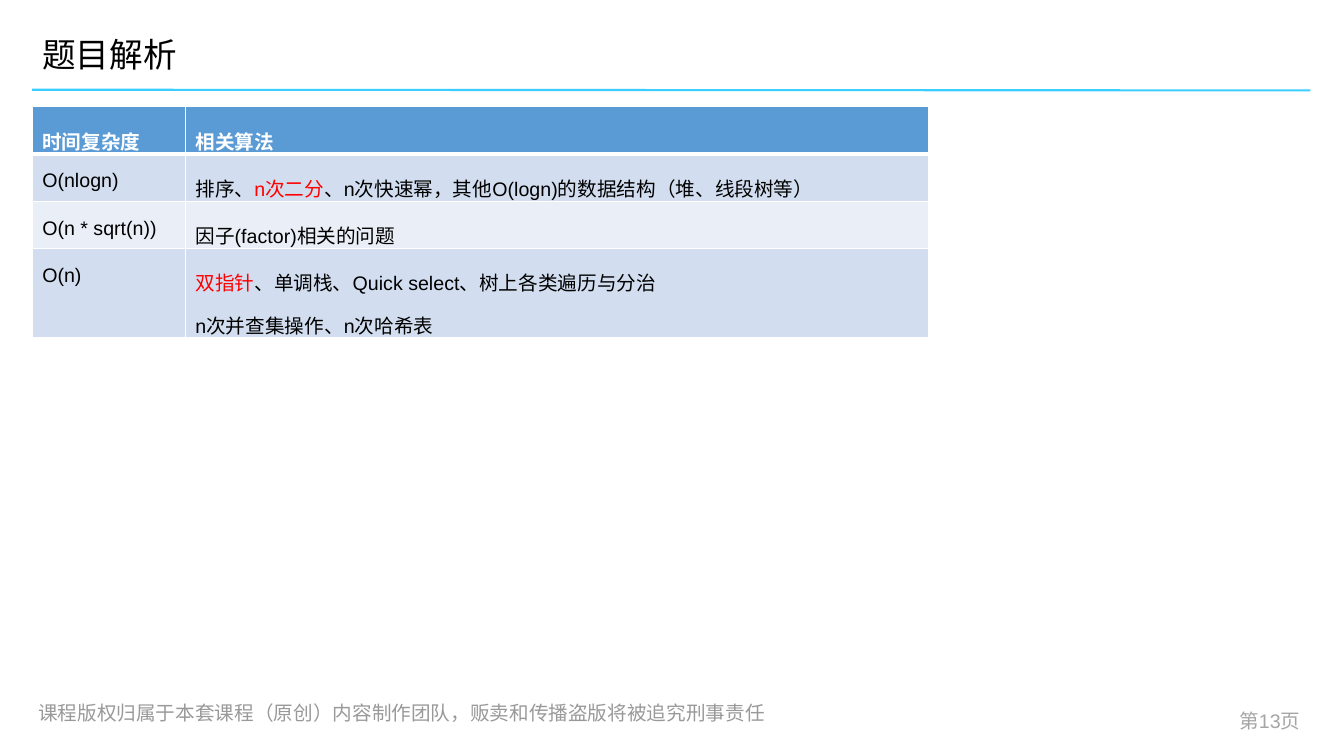
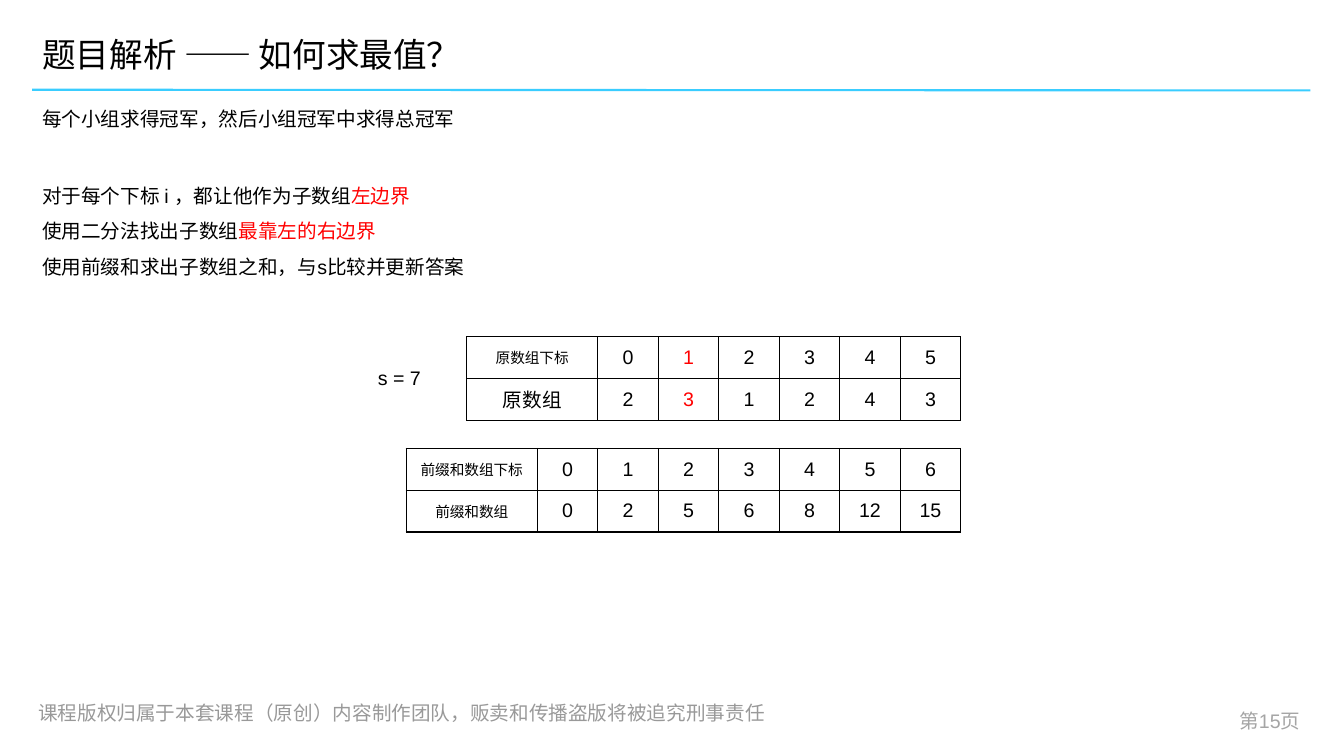
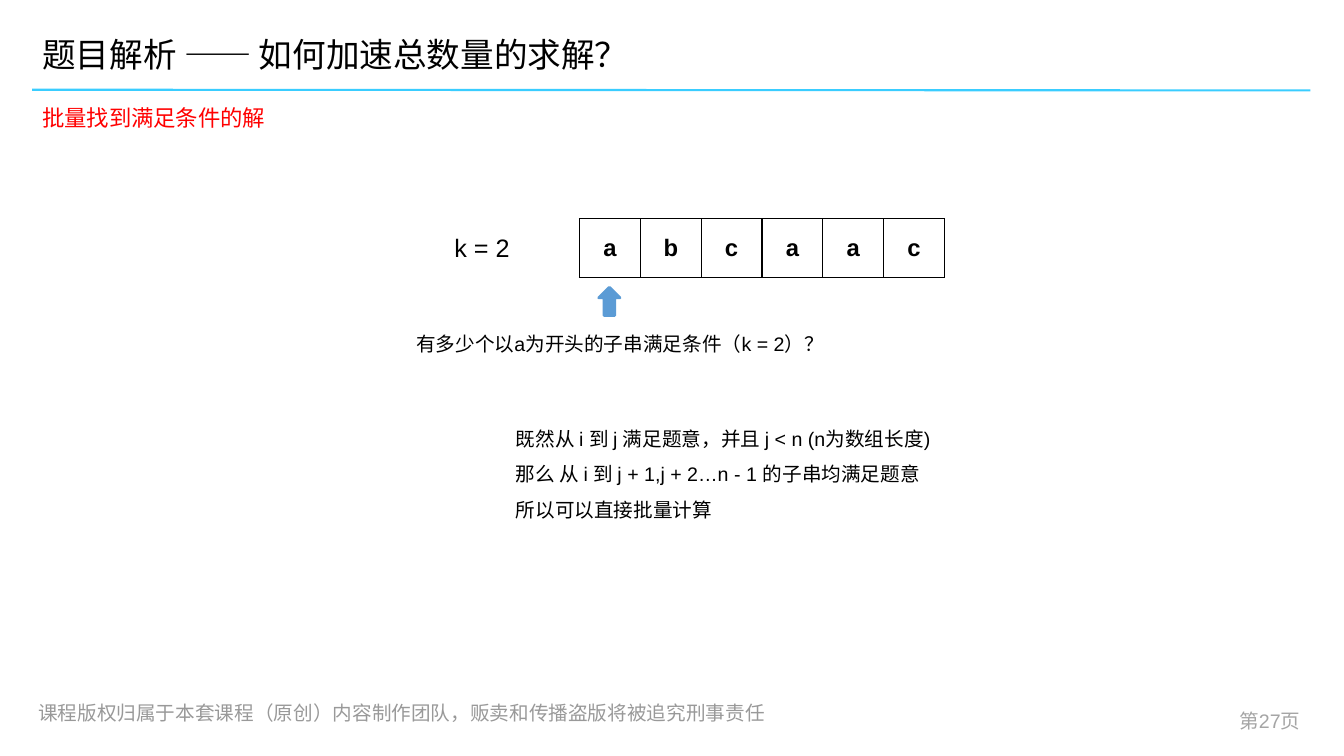
from lxml import etree
from pptx import Presentation
from pptx.dml.color import RGBColor
from pptx.enum.shapes import MSO_CONNECTOR, MSO_SHAPE
from pptx.enum.text import MSO_ANCHOR as ANCHOR, MSO_AUTO_SIZE as FIT, PP_ALIGN as ALIGN
from pptx.oxml.ns import qn
from pptx.util import Pt

rgb = RGBColor.from_string
BLACK, WHITE, RED, BLUE = "000000", "FFFFFF", "FF0000", "5B9BD5"
CYAN, FOOTER_GREY, PAGE_GREY = "3ACDFF", "999999", "A5A5A5"


def write(tf, text, size=14, color=BLACK, bold=False, align=ALIGN.LEFT, spacing=None):
    """Fill a text frame; lines become paragraphs, |bars| enclose red words."""
    for i, line in enumerate(text.split("\n")):
        p = tf.paragraphs[0] if i == 0 else tf.add_paragraph()
        p.alignment, p.line_spacing = align, spacing
        for j, part in enumerate(line.split("|")):
            if part:
                r = p.add_run()
                r.text = part
                for name, value in dict(name="Arial", size=Pt(size), bold=bold).items():
                    setattr(r.font, name, value)
                r.font.color.rgb = rgb(RED if j % 2 else color)


def add_grid(s, left, top, widths, height, rows, border, anchor=ANCHOR.MIDDLE, **fmt):
    """Add an unfilled table with 1 pt borders all round its cells."""
    table = s.shapes.add_table(len(rows), len(widths), Pt(left), Pt(top),
                               Pt(sum(widths)), Pt(height * len(rows))).table
    table.first_row = table.horz_banding = False
    for column, width in zip(table.columns, widths):
        column.width = Pt(width)
    for y, row in enumerate(rows):
        table.rows[y].height = Pt(height)
        for x, text in enumerate(row):
            cell = table.cell(y, x)
            cell.vertical_anchor = anchor
            write(cell.text_frame, text, **fmt)
            tcPr = cell._tc.get_or_add_tcPr()
            for side in "LRTB":
                ln = etree.SubElement(tcPr, qn(f"a:ln{side}"), w=str(Pt(1)))
                fill = etree.SubElement(ln, qn("a:solidFill"))
                etree.SubElement(fill, qn("a:srgbClr"), val=border)
            cell.fill.background()
    return table


prs = Presentation()
prs.slide_width, prs.slide_height = Pt(960), Pt(540)
layout = prs.slide_layouts[5]
for ph in list(layout.placeholders):
    if ph.placeholder_format.idx:
        layout.shapes.element.remove(ph.element)

# Titles and page numbers
slides = []
for title, page in [("题目解析", 13),
                    ("题目解析 —— 如何求最值？", 15),
                    ("题目解析 —— 如何加速总数量的求解？", 27)]:
    s = prs.slides.add_slide(layout)
    slides.append(s)
    sp = s.shapes.title
    for name, value in dict(left=23, top=17.3, width=702.7, height=46.8).items():
        setattr(sp, name, Pt(value))
    tf = sp.text_frame
    tf.auto_size, tf.vertical_anchor = FIT.NONE, ANCHOR.MIDDLE
    write(tf, title, size=24, spacing=0.9)
    tf = s.shapes.add_textbox(Pt(864), Pt(502.6), Pt(72), Pt(25.2)).text_frame
    tf.word_wrap = True
    write(tf, f"第{page}页", color=PAGE_GREY, align=ALIGN.RIGHT)
complexity, extremum, counting = slides

# Footer and title rule, moved to the shared layout
footer = complexity.shapes.add_textbox(Pt(20.2), Pt(496.1), Pt(802.8), Pt(25.2))
tf = footer.text_frame
tf.word_wrap, tf.vertical_anchor = True, ANCHOR.MIDDLE
write(tf, "课程版权归属于本套课程（原创）内容制作团队，贩卖和传播盗版将被追究刑事责任",
      color=FOOTER_GREY)
rule = complexity.shapes.add_connector(MSO_CONNECTOR.STRAIGHT,
                                       Pt(936), Pt(64.6), Pt(23), Pt(64.1))
rule.line.color.rgb = rgb(CYAN)
rule.line.width = Pt(1.5)
etree.SubElement(rule.element.spPr, qn("a:effectLst"))
for sp in (footer, rule):
    layout.shapes.element.append(sp.element)

# Text boxes: slide, left, top, width, height, wrap, text, format
for s, left, top, width, height, wrap, text, fmt in [
    (extremum, 23, 72.7, 311.8, 24.5, False,
     "每个小组求得冠军，然后小组冠军中求得总冠军", {}),
    (extremum, 23, 119.5, 318.2, 80.6, True,
     "对于每个下标 i ，都让他作为子数组|左边界|\n"
     "使用二分法找出子数组|最靠左的右边界|\n"
     "使用前缀和求出子数组之和，与s比较并更新答案", dict(spacing=1.5)),
    (extremum, 262.8, 257.8, 45.4, 24.5, False, "s = 7", {}),
    (counting, 23, 70.6, 176.4, 26.6, False, "批量找到满足条件的解",
     dict(size=16, color=RED)),
    (counting, 317.5, 162.7, 54.7, 28.8, False, "k = 2", dict(size=18)),
    (counting, 290.2, 233.3, 307.4, 24.5, True,
     "有多少个以a为开头的子串满足条件（k = 2）？", {}),
    (counting, 361.4, 293, 324, 80.6, True,
     "既然从 i 到 j 满足题意，并且 j < n (n为数组长度)\n"
     "那么 从 i 到 j + 1,j + 2…n - 1 的子串均满足题意\n"
     "所以可以直接批量计算", dict(spacing=1.5)),
]:
    tf = s.shapes.add_textbox(Pt(left), Pt(top), Pt(width), Pt(height)).text_frame
    tf.word_wrap, tf.auto_size = wrap, FIT.SHAPE_TO_FIT_TEXT
    write(tf, text, **fmt)

# Complexity table: header, banded rows, thick line under the header
table = add_grid(complexity, 23, 76.3, [109.4, 530.6], 33.8, [
    ("时间复杂度", "相关算法"),
    ("O(nlogn)", "排序、|n次二分|、n次快速幂，其他O(logn)的数据结构（堆、线段树等）"),
    ("O(n * sqrt(n))", "因子(factor)相关的问题"),
    ("O(n)", "|双指针|、单调栈、Quick select、树上各类遍历与分治\nn次并查集操作、n次哈希表"),
], WHITE, anchor=ANCHOR.TOP, spacing=1.5)
table.rows[3].height = Pt(63.4)
for y, color in enumerate([BLUE, "D2DEEF", "EAEFF7", "D2DEEF"]):
    for cell in table.rows[y].cells:
        cell.fill.solid()
        cell.fill.fore_color.rgb = rgb(color)
for y, side in enumerate(["a:lnB", "a:lnT"]):
    for cell in table.rows[y].cells:
        cell._tc.tcPr.find(qn(side)).set("w", str(Pt(3)))
for cell in table.rows[0].cells:
    font = cell.text_frame.paragraphs[0].runs[0].font
    font.bold, font.color.rgb = True, rgb(WHITE)

# Array and prefix sum tables, aligned on the right, with small labels
for top, rows, label_sizes in [
    (240.5, [["原数组下标", "0", "|1|", "2", "3", "4", "5"],
             ["原数组", "2", "|3|", "1", "2", "4", "3"]], [10.5, 14]),
    (320.4, [["前缀和数组下标", *"0123456"],
             ["前缀和数组", "0", "2", "5", "6", "8", "12", "15"]], [10.5, 10.5]),
]:
    widths = [93.6] + [43.2] * (len(rows[0]) - 1)
    table = add_grid(extremum, 686.2 - sum(widths), top, widths, 29.8, rows, BLACK,
                     align=ALIGN.CENTER)
    for y, size in enumerate(label_sizes):
        table.cell(y, 0).text_frame.paragraphs[0].runs[0].font.size = Pt(size)

# Letters of the string, with an arrow at the first one
table = add_grid(counting, 414, 156.2, [43.45] * 6, 41.8, ["abcaac"], BLACK,
                 size=17, bold=True, align=ALIGN.CENTER)
for cell in table.rows[0].cells:
    cell.margin_left = cell.margin_right = Pt(4.3)
    cell.margin_top = cell.margin_bottom = Pt(2.2)
    cell.fill.solid()
    cell.fill.fore_color.rgb = rgb(WHITE)
arrow = counting.shapes.add_shape(MSO_SHAPE.UP_ARROW, Pt(427.7), Pt(205.2), Pt(15.1), Pt(20.2))
arrow.shadow.inherit = False
arrow.fill.solid()
arrow.fill.fore_color.rgb = arrow.line.color.rgb = rgb(BLUE)
arrow.line.width = Pt(2)

prs.save("out.pptx")
